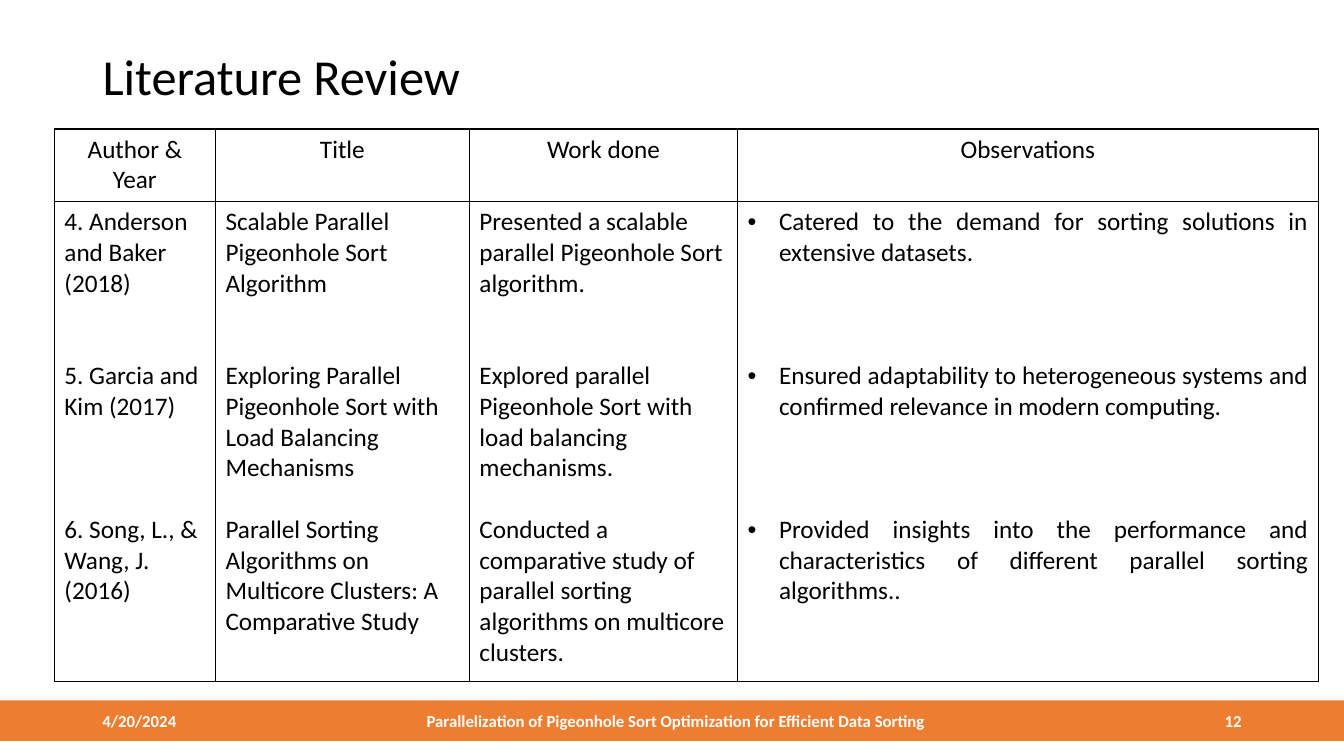
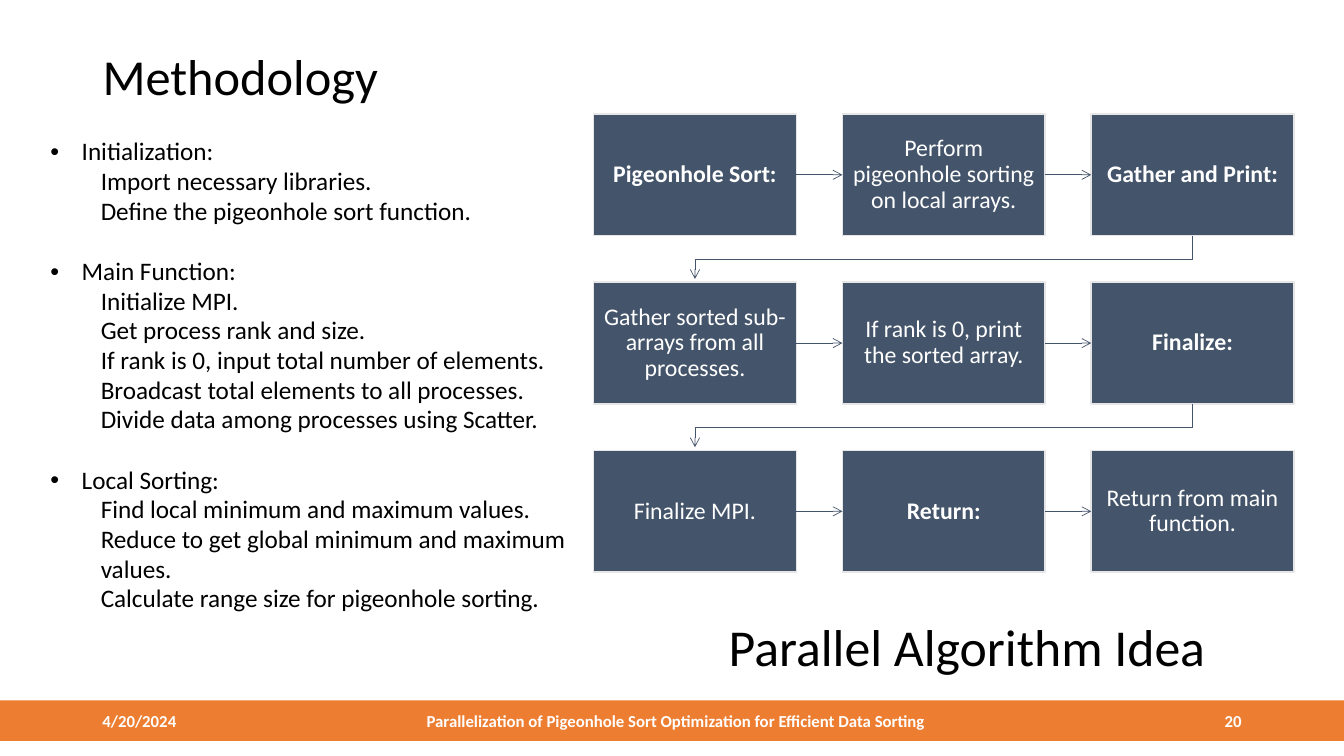
from dataclasses import dataclass
from typing import Optional

from lxml.etree import SubElement
from pptx import Presentation
from pptx.dml.color import RGBColor
from pptx.enum.shapes import MSO_CONNECTOR as CONN, MSO_SHAPE as SHAPE
from pptx.enum.text import MSO_ANCHOR as ANCHOR, MSO_AUTO_SIZE as AUTO, PP_ALIGN as ALIGN
from pptx.oxml.ns import qn
from pptx.util import Cm, Pt


@dataclass(frozen=True)
class Theme:
    font: str = "Calibri"
    black: RGBColor = RGBColor(0x00, 0x00, 0x00)
    white: RGBColor = RGBColor(0xFF, 0xFF, 0xFF)
    orange: RGBColor = RGBColor(0xED, 0x7D, 0x31)
    slate: RGBColor = RGBColor(0x44, 0x54, 0x6A)
    pale: RGBColor = RGBColor(0xE7, 0xE6, 0xE6)
    title: float = 36
    caption: float = 37
    body: float = 18
    step: float = 17
    footer: float = 12
    line: float = 22


@dataclass(frozen=True)
class Box:
    x: float
    y: float
    w: float
    h: float

    def lengths(self) -> tuple:
        return Cm(self.x), Cm(self.y), Cm(self.w), Cm(self.h)


@dataclass(frozen=True)
class Column:
    head: str
    width: float
    entries: tuple
    gaps: tuple
    bulleted: bool = False


@dataclass(frozen=True)
class Step:
    text: str
    bold: bool = False


@dataclass(frozen=True)
class Topic:
    name: str
    details: tuple


THEME = Theme()
SLIDE_W, SLIDE_H = 33.87, 19.05
BAND = Box(0, 17.65, SLIDE_W, 1.02)
TITLE = Box(2.33, 1.02, 29.21, 1.96)
FOOTER_TEXT = "Parallelization of Pigeonhole Sort Optimization for Efficient Data Sorting"

COLUMNS = (
    Column("Author & Year", 4.06, (
        "4. Anderson and Baker (2018)",
        "5. Garcia and Kim (2017)",
        "6. Song, L., & Wang, J. (2016)",
    ), (0, 2, 3)),
    Column("Title", 6.4, (
        "Scalable Parallel Pigeonhole Sort Algorithm",
        "Exploring Parallel Pigeonhole Sort with Load Balancing Mechanisms",
        "Parallel Sorting Algorithms on Multicore Clusters: A Comparative Study",
    ), (0, 2, 1)),
    Column("Work done", 6.76, (
        "Presented a scalable parallel Pigeonhole Sort algorithm.",
        "Explored parallel Pigeonhole Sort with load balancing mechanisms.",
        "Conducted a comparative study of parallel sorting algorithms on multicore clusters.",
    ), (0, 2, 1)),
    Column("Observations", 14.63, (
        "Catered to the demand for sorting solutions in extensive datasets.",
        "Ensured adaptability to heterogeneous systems and confirmed relevance in modern computing.",
        "Provided insights into the performance and characteristics of different parallel sorting algorithms..",
    ), (0, 3, 3), True),
)
ROW_HEIGHTS = (1.83, 12.09)

TOPICS = (
    Topic("Initialization:", (
        "Import necessary libraries.",
        "Define the pigeonhole sort function.",
    )),
    Topic("Main Function:", (
        "Initialize MPI.",
        "Get process rank and size.",
        "If rank is 0, input total number of elements.",
        "Broadcast total elements to all processes.",
        "Divide data among processes using Scatter.",
    )),
    Topic("Local Sorting:", (
        "Find local minimum and maximum values.",
        "Reduce to get global minimum and maximum values.",
        "Calculate range size for pigeonhole sorting.",
    )),
)

STEPS = (
    Step("Pigeonhole Sort:", True),
    Step("Perform pigeonhole sorting on local arrays."),
    Step("Gather and Print:", True),
    Step("Gather sorted sub-arrays from all processes."),
    Step("If rank is 0, print the sorted array."),
    Step("Finalize:", True),
    Step("Finalize MPI."),
    Step("Return:", True),
    Step("Return from main function."),
)
FLOW_COLS = 3
FLOW_FIRST = Box(14.96, 2.87, 5.11, 3.07)
FLOW_DX, FLOW_DY = 6.27, 4.24


def style(p, size: float, color: RGBColor, bold: bool = False,
          align: ALIGN = ALIGN.LEFT, spacing: Optional[float] = None) -> None:
    p.alignment = align
    if spacing:
        p.line_spacing = spacing
    for r in p.runs:
        r.font.name = THEME.font
        r.font.size = Pt(size)
        r.font.bold = bold
        r.font.color.rgb = color


def indent(p, left: float, hanging: float = 0, bullet: bool = False) -> None:
    pPr = p._p.get_or_add_pPr()
    pPr.set("marL", str(Cm(left)))
    pPr.set("indent", str(-Cm(hanging)))
    if bullet:
        SubElement(pPr, qn("a:buFont")).set("typeface", "Arial")
        SubElement(pPr, qn("a:buChar")).set("char", "•")


def next_paragraph(tf, first: bool):
    return tf.paragraphs[0] if first else tf.add_paragraph()


def add_text(s, box: Box, text: str, size: float, color: RGBColor, bold: bool = False,
             align: ALIGN = ALIGN.LEFT, anchor: ANCHOR = ANCHOR.MIDDLE,
             spacing: Optional[float] = None) -> None:
    tf = s.shapes.add_textbox(*box.lengths()).text_frame
    tf.word_wrap = True
    tf.vertical_anchor = anchor
    tf.text = text
    style(tf.paragraphs[0], size, color, bold, align, spacing)


def add_rect(s, box: Box, fill: RGBColor, line: Optional[RGBColor] = None):
    sp = s.shapes.add_shape(SHAPE.RECTANGLE, *box.lengths())
    sp.shadow.inherit = False
    sp.fill.solid()
    sp.fill.fore_color.rgb = fill
    if line is None:
        sp.line.fill.background()
    else:
        sp.line.color.rgb = line
        sp.line.width = Pt(1)
    return sp


def add_base_slide(prs, title: str, number: int):
    s = prs.slides.add_slide(prs.slide_layouts[5])
    add_rect(s, BAND, THEME.orange)
    sp = s.shapes.title
    sp.left, sp.top, sp.width, sp.height = TITLE.lengths()
    tf = sp.text_frame
    tf.text = title
    tf.auto_size = AUTO.NONE
    tf.vertical_anchor = ANCHOR.MIDDLE
    style(tf.paragraphs[0], THEME.title, THEME.black, spacing=0.9)
    footers = (
        (2.33, 7.62, "4/20/2024", ALIGN.LEFT),
        (9.02, 16.03, FOOTER_TEXT, ALIGN.CENTER),
        (23.92, 7.62, str(number), ALIGN.RIGHT),
    )
    for x, w, text, align in footers:
        add_text(s, Box(x, BAND.y, w, BAND.h), text, THEME.footer, THEME.white, True, align)
    return s


def format_cell(cell) -> None:
    tcPr = cell._tc.get_or_add_tcPr()
    for side in ("a:lnL", "a:lnR", "a:lnT", "a:lnB"):
        ln = SubElement(tcPr, qn(side), w=str(Pt(1)))
        fill = SubElement(ln, qn("a:solidFill"))
        SubElement(fill, qn("a:srgbClr")).set("val", str(THEME.black))
    cell.fill.background()


def add_review_table(s) -> None:
    box = Box(1.37, 3.25, sum(c.width for c in COLUMNS), sum(ROW_HEIGHTS))
    table = s.shapes.add_table(len(ROW_HEIGHTS), len(COLUMNS), *box.lengths()).table
    table.first_row = False
    table.horz_banding = False
    for row, height in zip(table.rows, ROW_HEIGHTS):
        row.height = Cm(height)
    for i, col in enumerate(COLUMNS):
        table.columns[i].width = Cm(col.width)
        head, body = table.cell(0, i), table.cell(1, i)
        format_cell(head)
        format_cell(body)
        head.text_frame.text = col.head
        style(head.text_frame.paragraphs[0], THEME.body, THEME.black, align=ALIGN.CENTER)
        for j, (entry, gap) in enumerate(zip(col.entries, col.gaps)):
            p = next_paragraph(body.text_frame, j == 0)
            p.text = entry
            if col.bulleted:
                indent(p, 0.79, 0.79, True)
            if gap:
                p.space_before = Pt(gap * THEME.line)
            style(p, THEME.body, THEME.black,
                  align=ALIGN.JUSTIFY if col.bulleted else ALIGN.LEFT)


def add_topics(s, box: Box) -> None:
    tf = s.shapes.add_textbox(*box.lengths()).text_frame
    tf.word_wrap = True
    for i, topic in enumerate(TOPICS):
        p = next_paragraph(tf, i == 0)
        p.text = topic.name
        indent(p, 0.79, 0.79, True)
        if i:
            p.space_before = Pt(THEME.line)
        style(p, THEME.body, THEME.black, spacing=0.98)
        for detail in topic.details:
            p = tf.add_paragraph()
            p.text = detail
            p.level = 1
            indent(p, 1.27)
            style(p, THEME.body, THEME.black, spacing=0.98)


def format_arrow(sp) -> None:
    sp.line.color.rgb = THEME.slate
    sp.line.width = Pt(0.5)
    SubElement(sp.line._get_or_add_ln(), qn("a:tailEnd")).set("type", "arrow")


def join_across(s, a, b) -> None:
    cx = s.shapes.add_connector(CONN.STRAIGHT, 0, 0, 0, 0)
    cx.begin_connect(a, 3)
    cx.end_connect(b, 1)
    format_arrow(cx)
    SubElement(cx._element.spPr, qn("a:effectLst"))


def join_down(s, a, b) -> None:
    x1, y1 = a.left + a.width // 2, a.top + a.height
    x2, y2 = b.left + b.width // 2, b.top - Cm(0.08)
    mid = (y1 + b.top) // 2
    builder = s.shapes.build_freeform(x1, y1)
    builder.add_line_segments([(x1, mid), (x2, mid), (x2, y2)], close=False)
    sp = builder.convert_to_shape()
    sp.shadow.inherit = False
    sp.fill.background()
    format_arrow(sp)


def add_flow(s) -> None:
    boxes = []
    for i, step in enumerate(STEPS):
        row, col = divmod(i, FLOW_COLS)
        box = Box(FLOW_FIRST.x + col * FLOW_DX, FLOW_FIRST.y + row * FLOW_DY,
                  FLOW_FIRST.w, FLOW_FIRST.h)
        sp = add_rect(s, box, THEME.slate, THEME.pale)
        tf = sp.text_frame
        tf.word_wrap = True
        tf.vertical_anchor = ANCHOR.MIDDLE
        tf.margin_left = tf.margin_right = tf.margin_top = tf.margin_bottom = Cm(0.25)
        tf.text = step.text
        style(tf.paragraphs[0], THEME.step, THEME.white, step.bold, ALIGN.CENTER, 0.9)
        boxes.append(sp)
    for i, (a, b) in enumerate(zip(boxes, boxes[1:]), start=1):
        join = join_across if i % FLOW_COLS else join_down
        join(s, a, b)


def main() -> None:
    prs = Presentation()
    prs.slide_width, prs.slide_height = Cm(SLIDE_W), Cm(SLIDE_H)

    s = add_base_slide(prs, "Literature Review", 12)
    add_review_table(s)

    s = add_base_slide(prs, "Methodology", 20)
    add_text(s, Box(15.24, 14.75, 18.26, 2.36), "Parallel Algorithm Idea", THEME.caption,
             THEME.black, align=ALIGN.CENTER, anchor=ANCHOR.TOP, spacing=1.4)
    add_flow(s)
    add_topics(s, Box(1.02, 3.33, 13.69, 12.57))

    prs.save("out.pptx")


if __name__ == "__main__":
    main()
